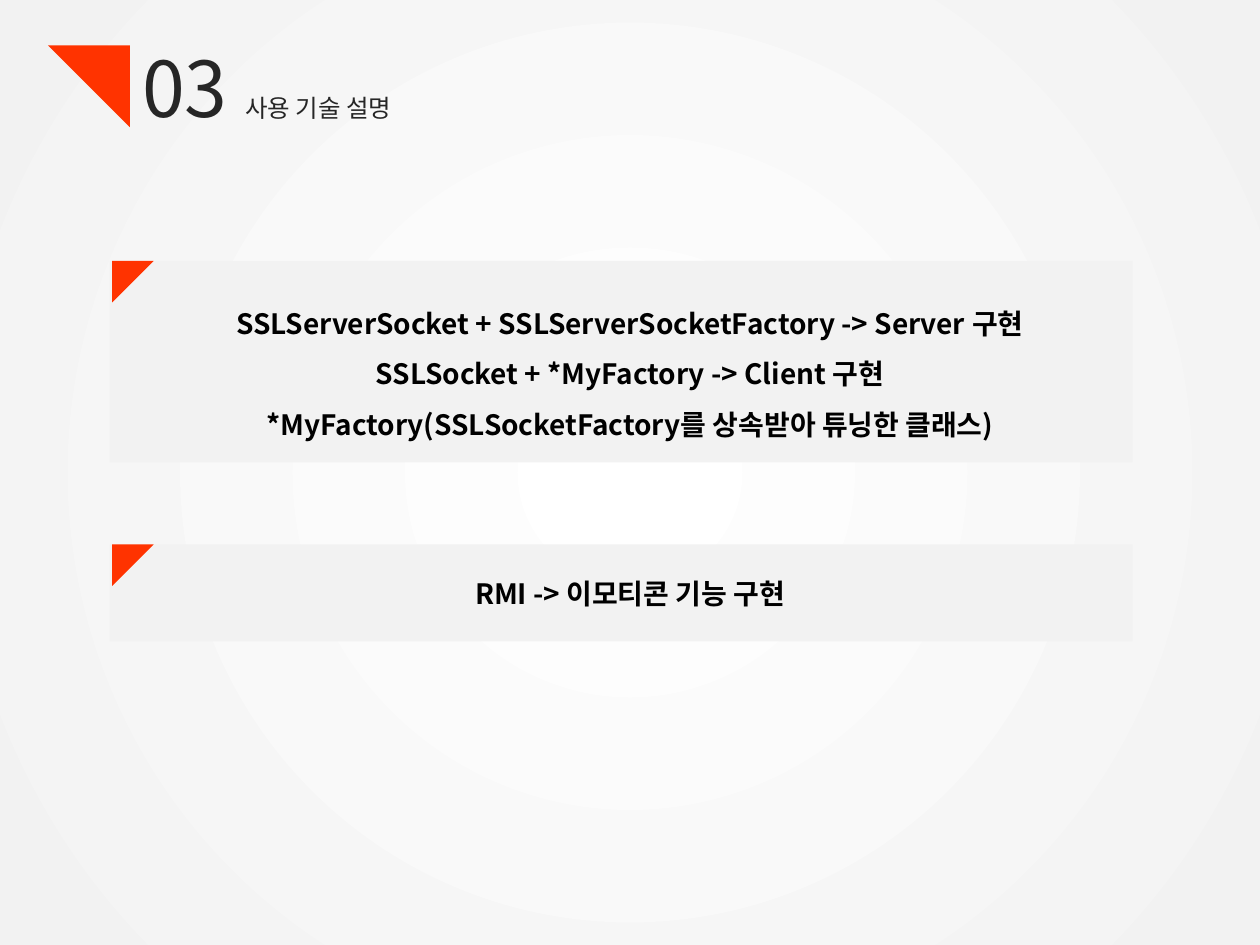
from lxml import etree
from pptx import Presentation
from pptx import util as u
from pptx.dml.color import RGBColor
from pptx.enum import shapes, text
from pptx.oxml.ns import qn


def color(value):
    return RGBColor.from_string(value)


class SlideBuilder:
    """Style and current slide; lengths are shares of the slide's size."""

    FONT = "Noto Sans CJK KR"
    ACCENT, PANEL, INK, TITLE = "FF3300", "F2F2F2", "000000", "262626"

    def __init__(self, deck):
        self.width, self.height = deck.slide_width, deck.slide_height
        self.slide = deck.slides.add_slide(deck.slide_layouts[6])

    def frame(self, left, top, width, height):
        return (u.Emu(round(left * self.width)), u.Emu(round(top * self.height)),
                u.Emu(round(width * self.width)), u.Emu(round(height * self.height)))

    def background(self, center, edge):
        fill = self.slide.background.fill
        fill.gradient()
        for stop, value in zip(fill.gradient_stops, (center, edge)):
            stop.color.rgb = color(value)
        # Turn the linear gradient into a circular one
        gradient = self.slide._element.find(".//" + qn("a:gradFill"))
        gradient.remove(gradient.find(qn("a:lin")))
        circle = etree.SubElement(gradient, qn("a:path"), path="circle")
        etree.SubElement(circle, qn("a:fillToRect"),
                         l="50000", t="50000", r="50000", b="50000")

    def shape(self, kind, frame, fill):
        shape = self.slide.shapes.add_shape(kind, *self.frame(*frame))
        shape.shadow.inherit = False
        shape.fill.solid()
        shape.fill.fore_color.rgb = color(fill)
        shape.line.fill.background()
        return shape

    def corner(self, left, top, size, rotation):
        """Right triangle; size is a share of the slide's width."""
        frame = (left, top, size, size * self.width / self.height)
        triangle = self.shape(shapes.MSO_SHAPE.ISOSCELES_TRIANGLE, frame, self.ACCENT)
        triangle.adjustments[0] = 0
        triangle.rotation = rotation

    def style(self, font, size, value, bold=False):
        font.size, font.bold, font.name = u.Pt(size), bold, self.FONT
        font.color.rgb = color(value)
        etree.SubElement(font._element, qn("a:ea"), typeface=self.FONT)

    def text_frame(self, frame):
        box = self.slide.shapes.add_textbox(*self.frame(*frame))
        box.text_frame.word_wrap = True
        box.text_frame.auto_size = text.MSO_AUTO_SIZE.SHAPE_TO_FIT_TEXT
        return box.text_frame

    def heading(self, frame, parts):
        para = self.text_frame(frame).paragraphs[0]
        for words, size in parts:
            span = para.add_run()
            span.text = words
            self.style(span.font, size, self.TITLE)

    def lines(self, frame, lines, spacing):
        body = self.text_frame(frame)
        body.text = "\n".join(lines)
        for para in body.paragraphs:
            para.alignment = text.PP_ALIGN.CENTER
            para.line_spacing = spacing
            self.style(para.font, 16, self.INK, bold=True)

    def panel(self, top, height, text_top, text_height, lines, spacing):
        self.shape(shapes.MSO_SHAPE.RECTANGLE, (0.087, top, 0.812, height), self.PANEL)
        self.corner(0.089, top, 0.033, 90)
        self.lines((0, text_top, 1, text_height), lines, spacing)


def main():
    deck = Presentation()
    deck.slide_width, deck.slide_height = u.Inches(10), u.Inches(7.5)
    page = SlideBuilder(deck)
    page.background("FFFFFF", "F2F2F2")

    # Heading
    page.corner(0.038, 0.36 / 7.5, 0.065, 180)
    page.heading((0.103, 0.27 / 7.5, 0.338, 0.84 / 7.5),
                 [("03 ", 44), ("사용 기술 설명", 14)])

    # Technology panels
    page.panel(2.07 / 7.5, 1.6 / 7.5, 0.3, 0.22, [
        "SSLServerSocket + SSLServerSocketFactory -> Server 구현",
        "SSLSocket + *MyFactory -> Client 구현",
        "*MyFactory(SSLSocketFactory를 상속받아 튜닝한 클래스)",
    ], 1.5)
    page.panel(4.32 / 7.5, 0.77 / 7.5, 4.53 / 7.5, 0.37 / 7.5,
               ["RMI -> 이모티콘 기능 구현"], 1.0)

    deck.save("out.pptx")


if __name__ == "__main__":
    main()
